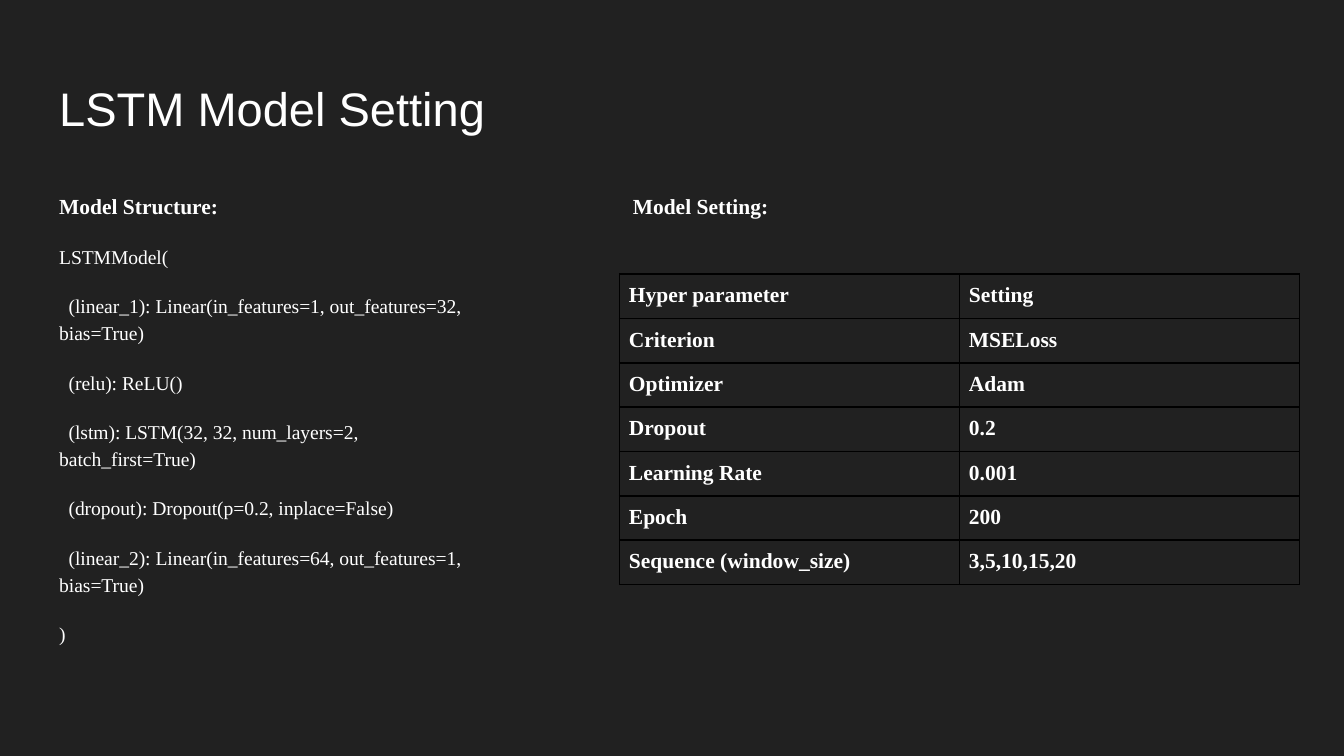
from lxml.etree import SubElement
from pptx import Presentation
from pptx.dml.color import RGBColor
from pptx.enum.text import MSO_ANCHOR as Anchor, MSO_AUTO_SIZE as Fit, PP_ALIGN as Align
from pptx.oxml.ns import qn
from pptx.util import Inches, Pt

TITLE = "LSTM Model Setting"
MODEL = [
    ("LSTMModel(", 0),
    ("(linear_1): Linear(in_features=1, out_features=32, bias=True)", 1),
    ("(relu): ReLU()", 1),
    ("(lstm): LSTM(32, 32, num_layers=2, batch_first=True)", 1),
    ("(dropout): Dropout(p=0.2, inplace=False)", 1),
    ("(linear_2): Linear(in_features=64, out_features=1, bias=True)", 1),
    (")", 0),
]
ROWS = [
    ("Hyper parameter", "Setting"),
    ("Criterion", "MSELoss"),
    ("Optimizer", "Adam"),
    ("Dropout", "0.2"),
    ("Learning Rate", "0.001"),
    ("Epoch", "200"),
    ("Sequence (window_size)", "3,5,10,15,20"),
]
DARK, WHITE, BLACK = "212121", "FFFFFF", "000000"
HEAD = {"name": "Times New Roman", "size": Pt(11.5), "bold": True}
CODE = {**HEAD, "size": Pt(10.5), "bold": False}
BIG = {"name": "Arial", "size": Pt(25.2), "bold": False}
SPACED = {"line_spacing": 1.15, "space_before": Pt(12), "space_after": Pt(0)}
SIDES = ("left", "right", "top", "bottom")
WIDE = 10
COL, ROW = 2.53, 0.33


def paint(target, color):
    target.solid()
    target.fore_color.rgb = RGBColor.from_string(color)


def apply(target, values):
    for key, value in values.items():
        setattr(target, key, value)


def write(para, text, font, layout=None):
    run = para.add_run()
    run.text = text
    apply(run.font, font)
    paint(run.font.fill, WHITE)
    apply(para, {"alignment": Align.LEFT, **(layout or {})})


def place(shape, left, top, width, height, anchor=Anchor.TOP):
    box = dict(left=left, top=top, width=width, height=height)
    apply(shape, {key: Inches(value) for key, value in box.items()})
    frame = shape.text_frame
    apply(frame, {"word_wrap": True, "auto_size": Fit.NONE, "vertical_anchor": anchor})
    apply(frame, {f"margin_{side}": Inches(0.1) for side in SIDES})
    return frame


def indent(para, step):
    props = para._p.get_or_add_pPr()
    props.set("marL", "0")
    props.set("indent", str(Inches(0.07 * step)))
    SubElement(props, qn("a:buNone"))


def border(cell):
    props = cell._tc.get_or_add_tcPr()
    for spot, tag in enumerate(("a:lnL", "a:lnR", "a:lnT", "a:lnB")):
        line = SubElement(props, qn(tag), w=str(Pt(1)))
        fill = SubElement(line, qn("a:solidFill"))
        SubElement(fill, qn("a:srgbClr"), val=BLACK)
        props.insert(spot, line)


deck = Presentation()
deck.slide_width, deck.slide_height = Inches(WIDE), Inches(WIDE * 9 / 16)
slide = deck.slides.add_slide(deck.slide_layouts[1])
paint(slide.background.fill, DARK)

title = place(slide.shapes.title, 0.34, 0.49, 9.32, 0.63, Anchor.MIDDLE)
write(title.paragraphs[0], TITLE, BIG)

body = place(slide.placeholders[1], 0.34, 1.31, 3.26, 4)
write(body.paragraphs[0], "Model Structure:", HEAD, SPACED)
indent(body.paragraphs[0], 0)
for text, step in MODEL:
    para = body.add_paragraph()
    write(para, text, CODE, SPACED)
    indent(para, step)

size = len(ROWS), len(ROWS[0])
spot = [Inches(v) for v in (4.61, 2.04, COL * size[1], ROW * size[0])]
table = slide.shapes.add_table(*size, *spot).table
apply(table, {"first_row": False, "horz_banding": False})
for r, row in enumerate(ROWS):
    for c, text in enumerate(row):
        cell = table.cell(r, c)
        apply(cell, {f"margin_{side}": Inches(0.07) for side in SIDES})
        paint(cell.fill, DARK)
        border(cell)
        write(cell.text_frame.paragraphs[0], text, HEAD)

label = place(slide.shapes.add_textbox(0, 0, 0, 0), 4.61, 1.31, 3.28, 0.4)
write(label.paragraphs[0], "Model Setting:", HEAD, {**SPACED, "space_after": Pt(12)})

deck.save("out.pptx")
